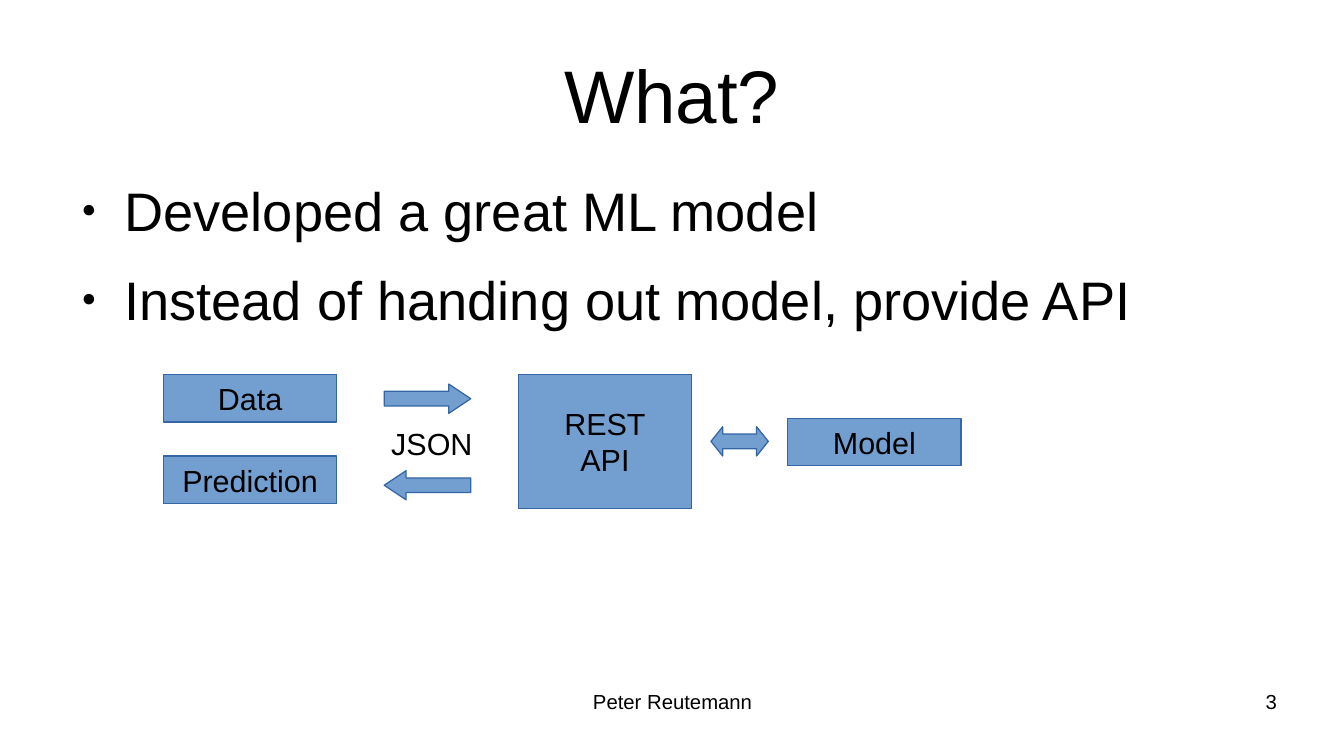
from dataclasses import dataclass

from lxml.etree import SubElement
from pptx import Presentation
from pptx.dml.color import RGBColor
from pptx.enum.shapes import MSO_SHAPE
from pptx.enum.text import MSO_ANCHOR, MSO_AUTO_SIZE, PP_ALIGN
from pptx.oxml.ns import qn
from pptx.shapes.base import BaseShape
from pptx.slide import Slide
from pptx.text.text import TextFrame
from pptx.util import Inches, Pt

FONT = "Arial"
BLACK = "000000"
FILL = "729FCF"
OUTLINE = "3465A4"
BOX_WIDTH, BOX_HEIGHT = 1.42, 0.39
ARROW_WIDTH, ARROW_HEIGHT = 0.71, 0.24
CLIENT_LEFT, ARROW_LEFT, TOP = 1.34, 3.15, 3.07
FOOTER_TOP, FOOTER_HEIGHT = 5.65, 0.43


@dataclass(frozen=True)
class Box:
    """A labelled rectangle of the diagram."""

    lines: tuple[str, ...]
    left: float
    top: float
    height: float = BOX_HEIGHT


@dataclass(frozen=True)
class Arrow:
    """A block arrow between two parts of the diagram."""

    kind: MSO_SHAPE
    left: float
    top: float
    width: float = ARROW_WIDTH
    head: float = 0.75


@dataclass(frozen=True)
class Label:
    """A free text with its place and format."""

    text: str
    left: float
    top: float
    width: float
    height: float
    size: float = 12
    align: PP_ALIGN = PP_ALIGN.LEFT
    margins: tuple[float, float] = (0, 0)


BOXES = (
    Box(("Data",), CLIENT_LEFT, TOP),
    Box(("Prediction",), CLIENT_LEFT, 3.74),
    Box(("REST", "API"), 4.25, TOP, 1.1),
    Box(("Model",), 6.46, 3.43),
)
ARROWS = (
    Arrow(MSO_SHAPE.RIGHT_ARROW, ARROW_LEFT, 3.15),
    Arrow(MSO_SHAPE.LEFT_ARROW, ARROW_LEFT, 3.86),
    Arrow(MSO_SHAPE.LEFT_RIGHT_ARROW, 5.83, 3.5, 0.47, 0.4),
)
LABELS = (
    Label("JSON", 3.11, 3.44, 1.1, 0.38, size=18, margins=(0.1, 0.05)),
    Label("Peter Reutemann", 3.77, FOOTER_TOP, 3.49, FOOTER_HEIGHT, align=PP_ALIGN.CENTER),
    Label("3", 7.9, FOOTER_TOP, 2.57, FOOTER_HEIGHT, align=PP_ALIGN.RIGHT),
)


def color(value: str) -> RGBColor:
    """Turn a hex string into a colour."""
    return RGBColor.from_string(value)


def write_text(
    frame: TextFrame,
    *lines: str,
    size: float = 18,
    align: PP_ALIGN = PP_ALIGN.LEFT,
    anchor: MSO_ANCHOR = MSO_ANCHOR.TOP,
    margins: tuple[float, float] = (0, 0),
    wrap: bool = True,
    gap: float = 0,
    bullet: bool = False,
) -> None:
    """Write one formatted paragraph per line into a text frame."""
    frame.auto_size = MSO_AUTO_SIZE.NONE
    frame.word_wrap = wrap
    frame.vertical_anchor = anchor
    frame.margin_left = frame.margin_right = Inches(margins[0])
    frame.margin_top = frame.margin_bottom = Inches(margins[1])
    for index, line in enumerate(lines):
        paragraph = frame.add_paragraph() if index else frame.paragraphs[0]
        paragraph.alignment = align
        paragraph.space_before = Pt(gap if index else 0)
        if bullet:
            properties = paragraph._p.get_or_add_pPr()
            properties.set("marL", str(Inches(0.47)))
            properties.set("indent", str(Inches(-0.35)))
            SubElement(SubElement(properties, qn("a:buClr")), qn("a:srgbClr"), val=BLACK)
            SubElement(properties, qn("a:buSzPct"), val="45000")
            SubElement(properties, qn("a:buChar"), char="●")
        run = paragraph.add_run()
        run.text = line
        run.font.name = FONT
        run.font.size = Pt(size)
        run.font.color.rgb = color(BLACK)


def place(shape: BaseShape, left: float, top: float, width: float, height: float) -> None:
    """Move and size a shape in inches."""
    shape.left, shape.top = Inches(left), Inches(top)
    shape.width, shape.height = Inches(width), Inches(height)


def add_block(
    slide: Slide, kind: MSO_SHAPE, left: float, top: float, width: float, height: float
) -> BaseShape:
    """Add a filled shape with a thin outline."""
    shape = slide.shapes.add_shape(kind, Inches(left), Inches(top), Inches(width), Inches(height))
    shape.shadow.inherit = False
    shape.fill.solid()
    shape.fill.fore_color.rgb = color(FILL)
    shape.line.color.rgb = color(OUTLINE)
    shape.line.width = Pt(0)
    return shape


def add_box(slide: Slide, box: Box) -> None:
    """Draw a labelled rectangle."""
    shape = add_block(slide, MSO_SHAPE.RECTANGLE, box.left, box.top, BOX_WIDTH, box.height)
    write_text(shape.text_frame, *box.lines, align=PP_ALIGN.CENTER,
               anchor=MSO_ANCHOR.MIDDLE, margins=(0.1, 0.05), wrap=False)


def add_arrow(slide: Slide, arrow: Arrow) -> None:
    """Draw a block arrow."""
    shape = add_block(slide, arrow.kind, arrow.left, arrow.top, arrow.width, ARROW_HEIGHT)
    shape.adjustments[0] = 0.5
    shape.adjustments[1] = arrow.head


def add_label(slide: Slide, label: Label) -> None:
    """Draw a free text."""
    shape = slide.shapes.add_textbox(0, 0, 0, 0)
    place(shape, label.left, label.top, label.width, label.height)
    write_text(shape.text_frame, label.text, size=label.size,
               align=label.align, margins=label.margins)


def main() -> None:
    """Build and save the slide."""
    presentation = Presentation()
    presentation.slide_width, presentation.slide_height = Inches(11.02), Inches(6.2)
    slide = presentation.slides.add_slide(presentation.slide_layouts[1])
    title, body = slide.shapes.title, slide.placeholders[1]
    place(title, 0.55, 0.25, 9.92, 1.04)
    write_text(title.text_frame, "What?", size=44,
               align=PP_ALIGN.CENTER, anchor=MSO_ANCHOR.MIDDLE)
    place(body, 0.55, 1.45, 9.92, 3.6)
    write_text(body.text_frame, "Developed a great ML model",
               "Instead of handing out model, provide API", size=32, gap=14.2, bullet=True)
    for box in BOXES:
        add_box(slide, box)
    for arrow in ARROWS:
        add_arrow(slide, arrow)
    for label in LABELS:
        add_label(slide, label)
    presentation.save("out.pptx")


if __name__ == "__main__":
    main()
